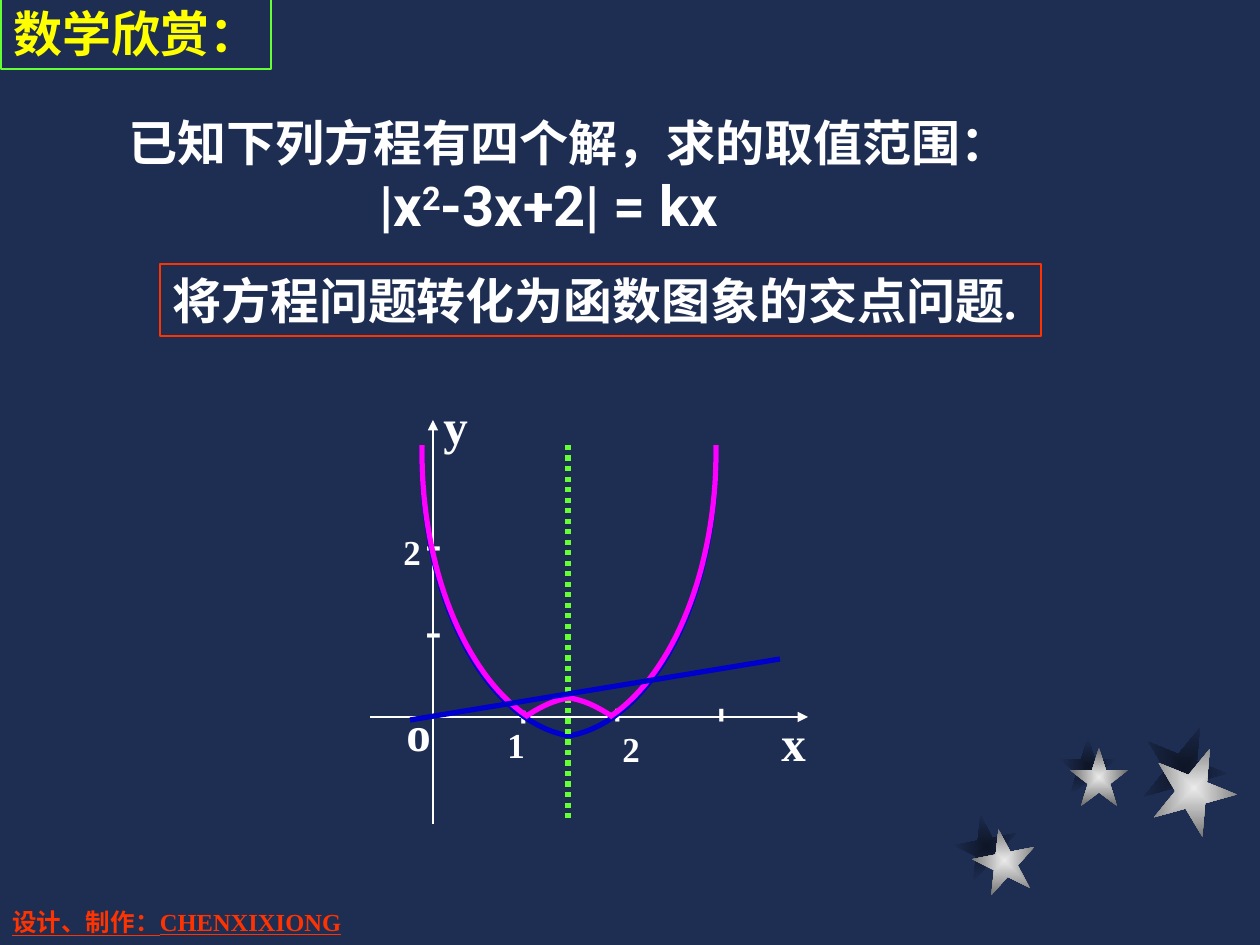
import dataclasses

import pptx
import pptx.dml.color
import pptx.enum.dml
import pptx.enum.shapes
import pptx.enum.text
import pptx.oxml
import pptx.oxml.ns
import pptx.util

EMU_PER_PX = 914400 / 126
A_NS = pptx.oxml.ns.nsdecls("a")
MIRROR_X = 569  # symmetry axis of the parabola


@dataclasses.dataclass(frozen=True)
class Theme:
    background: str = "1E2E53"
    text: str = "FFFFFF"
    title: str = "FFFF00"
    red: str = "FF3300"
    green: str = "66FF33"
    blue: str = "0000CC"
    magenta: str = "FF00FF"
    star: tuple = ("EAEAEA", "6C6C6C")
    star_shade: tuple = ("0E1526", "1E2E53")
    serif: str = "Times New Roman"
    sans: str = "Roboto"
    chinese: str = "Noto Sans CJK SC"
    credit_size: int = 14
    number_size: int = 20
    body_size: int = 28
    equation_size: int = 32
    thin: float = 0.75
    thick: float = 3


THEME = Theme()


def px(value):
    return pptx.util.Emu(round(value * EMU_PER_PX))


def rgb(colour):
    return pptx.dml.color.RGBColor.from_string(colour)


def set_line(line, colour, width):
    line.color.rgb = rgb(colour)
    line.width = pptx.util.Pt(width)


def write(paragraph, text, size=THEME.body_size, colour=THEME.text,
          font=THEME.serif, underline=None, superscript=False):
    run = paragraph.add_run()
    run.text = text
    run.font.size = pptx.util.Pt(size)
    run.font.bold = True
    run.font.underline = underline
    run.font.color.rgb = rgb(colour)
    run.font.name = font
    properties = run.font._element
    properties.append(pptx.oxml.parse_xml(
        f'<a:ea {A_NS} typeface="{THEME.chinese}"/>'))
    if superscript:
        properties.set("baseline", "30000")


def prepare_frame(frame, wrap):
    frame.word_wrap = wrap
    frame.auto_size = pptx.enum.text.MSO_AUTO_SIZE.SHAPE_TO_FIT_TEXT
    frame.vertical_anchor = pptx.enum.text.MSO_ANCHOR.TOP
    paragraph = frame.paragraphs[0]
    paragraph.alignment = pptx.enum.text.PP_ALIGN.LEFT
    return paragraph


def add_label(shapes, box, text, rotation=0, wrap=False, **text_format):
    label = shapes.add_textbox(*map(px, box))
    label.rotation = rotation
    write(prepare_frame(label.text_frame, wrap), text, **text_format)


def add_framed_text(shapes, box, text, border, **text_format):
    panel = shapes.add_shape(
        pptx.enum.shapes.MSO_SHAPE.RECTANGLE, *map(px, box))
    panel.shadow.inherit = False
    panel.fill.background()
    set_line(panel.line, border, THEME.thin)
    write(prepare_frame(panel.text_frame, False), text, **text_format)


def add_line(shapes, start, end, colour, width, arrow=False, dash=None):
    connector = shapes.add_connector(
        pptx.enum.shapes.MSO_CONNECTOR.STRAIGHT, *map(px, start + end))
    set_line(connector.line, colour, width)
    connector.line.dash_style = dash
    if arrow:
        connector.line._get_or_add_ln().append(
            pptx.oxml.parse_xml(f'<a:tailEnd {A_NS} type="triangle"/>'))
    connector._element.spPr.append(
        pptx.oxml.parse_xml(f"<a:effectLst {A_NS}/>"))


def bezier(controls, steps=32):
    """Points along a cubic curve given by four control points."""
    for step in range(steps + 1):
        t = step / steps
        weights = ((1 - t) ** 3, 3 * t * (1 - t) ** 2,
                   3 * t ** 2 * (1 - t), t ** 3)
        yield tuple(sum(w * c for w, c in zip(weights, axis))
                    for axis in zip(*controls))


def add_mirrored_curve(shapes, colour, controls, tip=None):
    """Draw the left branch and its reflection in the symmetry axis."""
    left = list(bezier(controls)) + ([tip] if tip else [])
    right = [(2 * MIRROR_X - x, y) for x, y in left]
    group = shapes.add_group_shape()
    for branch in (left, right):
        points = [(px(x), px(y)) for x, y in branch]
        builder = group.shapes.build_freeform(*points[0])
        builder.add_line_segments(points[1:], close=False)
        curve = builder.convert_to_shape()
        curve.shadow.inherit = False
        curve.fill.background()
        set_line(curve.line, colour, THEME.thick)


def add_star(shapes, left, top, size, rotation, colours):
    star = shapes.add_shape(pptx.enum.shapes.MSO_SHAPE.STAR_5_POINT,
                            *map(px, (left, top, size, size)))
    star.rotation = rotation
    star.shadow.inherit = False
    star.line.fill.background()
    star.fill.gradient()
    gradient = star._element.spPr.find(pptx.oxml.ns.qn("a:gradFill"))
    centre, edge = colours
    gradient.getparent().replace(gradient, pptx.oxml.parse_xml(
        f'<a:gradFill {A_NS}><a:gsLst>'
        f'<a:gs pos="0"><a:srgbClr val="{centre}"/></a:gs>'
        f'<a:gs pos="100000"><a:srgbClr val="{edge}"/></a:gs></a:gsLst>'
        '<a:path path="rect"><a:fillToRect l="50000" t="50000" '
        'r="50000" b="50000"/></a:path></a:gradFill>'))


def add_stars(shapes):
    # left, top, size, rotation, then the offset of the shade behind
    stars = ((973, 829, 63, 349, 18, 14),
             (1070, 748, 58, 0, 11, 11),
             (1152, 746, 84, 22, 10, 21))
    group = shapes.add_group_shape().shapes
    for left, top, size, rotation, dx, dy in stars:
        add_star(group, left - dx, top - dy, size, rotation,
                 THEME.star_shade)
    for left, top, size, rotation, _, _ in stars:
        add_star(group, left, top, size, rotation, THEME.star)


def add_problem(shapes):
    problem = shapes.add_textbox(*map(px, (61, 106, 961, 139)))
    question = prepare_frame(problem.text_frame, False)
    write(question, "已知下列方程有四个解，求的取值范围：")
    equation = problem.text_frame.add_paragraph()
    for part, raised in (("|x", False), ("2", True), ("-3x+2| = kx", False)):
        write(equation, part, size=THEME.equation_size, font=THEME.sans,
              superscript=raised)
    for paragraph, indent in ((question, 55), (equation, 306)):
        properties = paragraph._p.get_or_add_pPr()
        properties.set("marL", str(px(indent)))
        properties.set("indent", "0")


def add_axes(shapes):
    axes = shapes.add_group_shape().shapes
    add_line(axes, (370, 717), (808, 717), THEME.text, THEME.thin, arrow=True)
    add_line(axes, (433, 824), (433, 420), THEME.text, THEME.thin, arrow=True)
    for name, left, top in (("o", 394, 696), ("x", 769, 706), ("y", 431, 389)):
        add_label(axes, (left, top, 49, 72), name)
    # Tick marks
    for left, top, rotation in ((413, 592, 0), (413, 505, 0), (510, 682, 90),
                                (604, 680, 90), (708, 680, 90)):
        add_label(axes, (left, top, 42, 72), "-", rotation=rotation)
    for number, left, top in (("1", 495, 717), ("2", 610, 721),
                              ("2", 391, 524)):
        add_label(axes, (left, top, 43, 55), number, size=THEME.number_size)


def add_graph(shapes):
    add_axes(shapes)
    # Parabola before taking the absolute value
    add_mirrored_curve(shapes, THEME.blue,
                       ((569, 736), (485, 721), (422, 599), (422, 455)),
                       tip=(422, 447))
    add_line(shapes, (568, 445), (568, 823), THEME.green, THEME.thick,
             dash=pptx.enum.dml.MSO_LINE.ROUND_DOT)
    # Absolute value: outer branches, then the reflected arc
    add_mirrored_curve(shapes, THEME.magenta,
                       ((527, 716), (464, 673), (422, 568), (422, 452)),
                       tip=(422, 445))
    add_mirrored_curve(shapes, THEME.magenta,
                       ((569, 698), (554, 700), (540, 707), (525, 717)))
    # Line y = kx
    add_line(shapes, (410, 720), (780, 659), THEME.blue, THEME.thick)


def main():
    deck = pptx.Presentation()
    deck.slide_width, deck.slide_height = px(1260), px(945)
    slide = deck.slides.add_slide(deck.slide_layouts[6])
    slide.background.fill.solid()
    slide.background.fill.fore_color.rgb = rgb(THEME.background)
    shapes = slide.shapes

    add_stars(shapes)
    add_label(shapes, (0, 901, 397, 43), "设计、制作：CHENXIXIONG", wrap=True,
              size=THEME.credit_size, colour=THEME.red, underline=True)
    add_problem(shapes)
    add_graph(shapes)
    add_framed_text(shapes, (160, 264, 881, 72),
                    "将方程问题转化为函数图象的交点问题.", THEME.red)
    add_framed_text(shapes, (1, -3, 270, 72), "数学欣赏：", THEME.green,
                    colour=THEME.title, font=THEME.chinese)
    deck.save("out.pptx")


if __name__ == "__main__":
    main()
